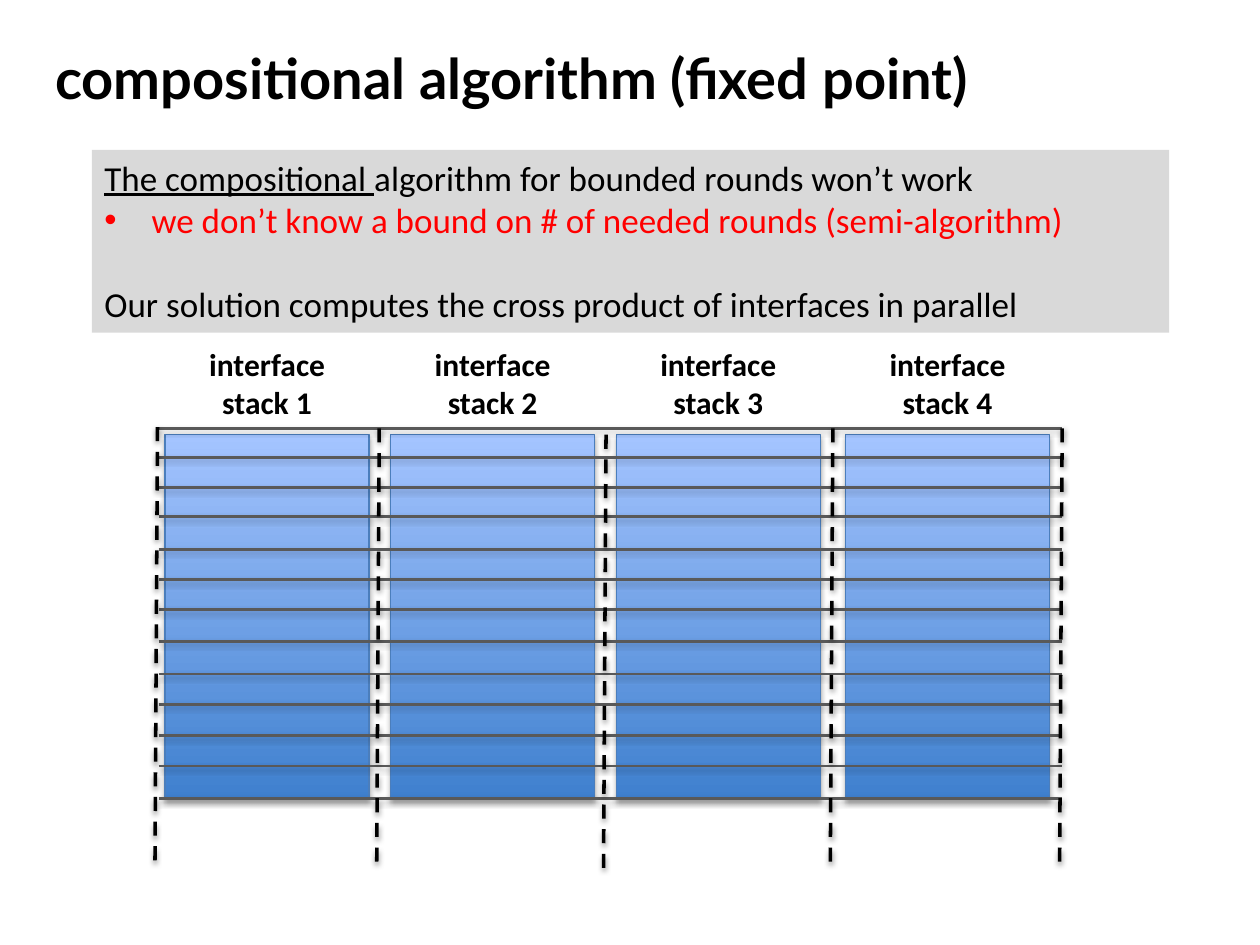
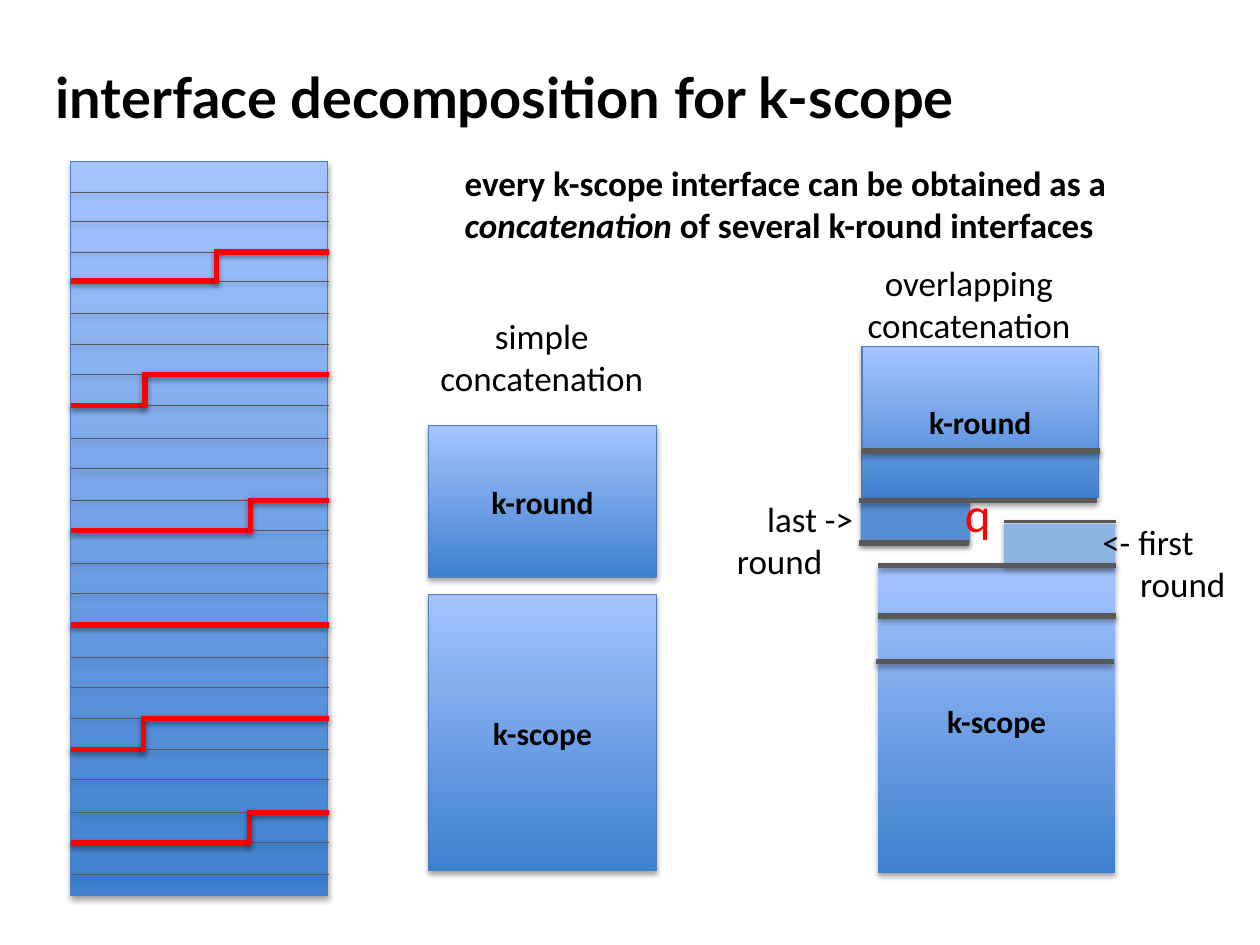
import pptx
import pptx.util
import pptx.dml.color
import pptx.enum.dml
import pptx.enum.shapes
import pptx.enum.text
import lxml.etree
import dataclasses


@dataclasses.dataclass(frozen=True)
class Theme:
    black: str = "000000"
    red: str = "FF0000"
    gray: str = "595959"
    pale: str = "D9D9D9"
    edge: str = "4B7EBC"
    deep: str = "3F80CE"
    light: str = "A4C4FF"
    last: str = "558ED5"
    first: str = "8EB4E3"
    font: str = "Calibri"
    head: str = "Lato"
    title: int = 32
    big: int = 28
    body: int = 20
    label: int = 18


look = Theme()
Align = pptx.enum.text.PP_ALIGN
Anchor = pptx.enum.text.MSO_ANCHOR

# Grid
COLS = 100
deck = pptx.Presentation()
deck.slide_width = pptx.util.Inches(10)
deck.slide_height = pptx.util.Inches(7.5)
UNIT = deck.slide_width / COLS

TITLES = ["compositional algorithm (fixed point)",
          "interface decomposition for k-scope"]
TITLE_ENDS = [9.3, 10.8]

POINTS = [
    [("The compositional ", {"under": True}),
     ("algorithm for bounded rounds won’t work", {})],
    [("we don’t know a bound on # of needed rounds (semi-algorithm)",
      {"color": look.red, "bullet": "•", "indent": 3.75})],
    [("Our solution computes the cross product of interfaces in parallel",
      {"before": 24.4})],
]
CLAIM = [
    "every k-scope interface can be obtained as a",
    [("concatenation", {"italic": True}),
     (" of several k-round interfaces", {})],
]
STACKS = [13.1, 31, 48.9, 67.1]
DASHES = [(12.5, 33.9, 68.5), (30.1, 34, 68.7), (48.1, 34.5, 69.1),
          (66.1, 34, 68.7), (84.3, 34, 68.7)]

ROUNDS = [15.3, 17.6, 20, 22.3, 24.9, 27.3, 29.7, 32.2, 34.8, 37.2, 39.7, 42.1,
          44.7, 47.1, 49.6, 52.2, 54.6, 57, 59.5, 61.9, 64.5, 66.9, 69.4]
STEPS = [(3, 17.2), (7, 11.5), (11, 19.9), (18, 11.4), (21, 19.8)]
CUT = 14

BLOCKS = [("k-scope", (34, 47.2, 18.1, 21.9)),
          ("k-round", (34, 33.8, 18.1, 12))]
NOTES = [
    ((33.8, 24.5, 18.4, 7.7), ["simple", "concatenation"], Align.CENTER),
    ((86.5, 40.8, 13, 7.7),
     ["<- first", [("round", {"indent": 3, "hang": False})]], Align.LEFT),
    ((57.5, 39, 12, 7.7),
     [[("last ->", {"indent": 2.4, "hang": False})], "round"], Align.LEFT),
    ((67.7, 20.3, 18.4, 7.7), ["overlapping", "concatenation"], Align.CENTER),
]


def size(cells):
    return round(cells * UNIT)


def tint(code):
    return pptx.dml.color.RGBColor.from_string(code)


def child(node, tag, **attrs):
    name = pptx.oxml.ns.qn("a:" + tag)
    return lxml.etree.SubElement(node, name, attrs)


def shade(shape, alpha, dist):
    props = shape._element.spPr
    for old in props.findall(pptx.oxml.ns.qn("a:effectLst")):
        props.remove(old)
    glow = child(child(props, "effectLst"), "outerShdw", blurRad="40000",
                 dist=str(dist), dir="5400000", rotWithShape="0")
    child(child(glow, "srgbClr", val=look.black), "alpha", val=str(alpha))


def write(shape, paras, *, align=Align.LEFT, anchor=Anchor.TOP, **base):
    frame = shape.text_frame
    frame.word_wrap = True
    frame.vertical_anchor = anchor
    for index, runs in enumerate(paras):
        para = frame.paragraphs[0] if index == 0 else frame.add_paragraph()
        para.alignment = align
        runs = [(runs, {})] if isinstance(runs, str) else runs
        first = runs[0][1]
        if "before" in first:
            para.space_before = pptx.util.Pt(first["before"])
        if "indent" in first:
            props = para._p.get_or_add_pPr()
            step = size(first["indent"])
            props.set("marL", str(step))
            props.set("indent", str(-step if first.get("hang", True) else 0))
            if "bullet" in first:
                child(props, "buFont", typeface="Arial")
                child(props, "buChar", char=first["bullet"])
        for text, own in runs:
            form = {**base, **own}
            run = para.add_run()
            run.text = text
            font = run.font
            font.name = form.get("font", look.font)
            font.size = pptx.util.Pt(form.get("points", look.body))
            font.bold = form.get("bold", False)
            font.italic = form.get("italic", False)
            font.underline = form.get("under", False)
            font.color.rgb = tint(form.get("color", look.black))


def note(slide, at, paras, **form):
    box = slide.shapes.add_textbox(*map(size, at))
    write(box, paras, **form)


def block(slide, at, fill=None, edge=None, drop=True):
    box = slide.shapes.add_shape(
        pptx.enum.shapes.MSO_SHAPE.RECTANGLE, *map(size, at))
    if fill:
        box.fill.solid()
        box.fill.fore_color.rgb = tint(fill)
    else:
        box.fill.gradient()
        box.fill.gradient_angle = 90
        for stop, code, place in zip(box.fill.gradient_stops,
                                     (look.deep, look.light), (0, 1)):
            stop.color.rgb = tint(code)
            stop.position = place
    if edge:
        box.line.color.rgb = tint(edge)
        box.line.width = pptx.util.Pt(0.75)
    else:
        box.line.fill.background()
    box.shadow.inherit = False
    if drop:
        shade(box, 35000, 23000)
    return box


def named(slide, text, at, edge=look.edge):
    write(block(slide, at, edge=edge), [text], align=Align.CENTER,
          anchor=Anchor.MIDDLE, points=look.label, bold=True)


def rule(slide, ends, color=look.gray, width=3, dash=False):
    line = slide.shapes.add_connector(
        pptx.enum.shapes.MSO_CONNECTOR.STRAIGHT, *map(size, ends))
    line.line.color.rgb = tint(color)
    line.line.width = pptx.util.Pt(width)
    if dash:
        line.line.dash_style = pptx.enum.dml.MSO_LINE.DASH
    shade(line, 38000, 20000)


def start(index):
    slide = deck.slides.add_slide(deck.slide_layouts[6])
    note(slide, (3.4, TITLE_ENDS[index] - 8, 96.6, 8), [TITLES[index]],
         anchor=Anchor.BOTTOM, font=look.head, points=look.title, bold=True)
    return slide


def stacks():
    slide = start(0)
    for left in STACKS:
        block(slide, (left, 34.5, 16.2, 28.9), edge=look.edge)
    for row in ROUNDS[:13]:
        rule(slide, (12.6, row + 18.7, 84.3, row + 18.7), width=1.5)
    for left, top, end in DASHES:
        rule(slide, (left, top, left - 0.2, end), look.black, 2, dash=True)
    for index, left in enumerate(STACKS, 1):
        note(slide, (left, 26.9, 16.2, 7.1), ["interface", f"stack {index}"],
             align=Align.CENTER, points=look.label, bold=True)
    write(block(slide, (7.3, 11.9, 85.5, 14.5), look.pale, drop=False), POINTS)


def ladder(slide):
    left, right = 5.6, 26.1
    block(slide, (left, 12.8, 20.4, 58.3), edge=look.edge)
    for row in ROUNDS:
        rule(slide, (left, row, right, row), width=0.5)
    for index, turn in STEPS:
        low, high = ROUNDS[index], ROUNDS[index - 1]
        rule(slide, (left, low, turn, low), look.red)
        rule(slide, (turn, high - 0.2, turn, low + 0.2), look.red)
        rule(slide, (turn, high, right, high), look.red)
    rule(slide, (left, ROUNDS[CUT], right, ROUNDS[CUT]), look.red)


def overlap(slide):
    wide = 18.9
    named(slide, "k-scope", (69.7, 45.1, 18.8, 24.2), edge=None)
    rule(slide, (79.7, 41.4, 88.6, 41.4), width=2)
    block(slide, (79.7, 41.6, 8.8, 3.3), look.first)
    for left, row in [(69.7, 44.9), (69.7, 48.9), (69.5, 52.5)]:
        rule(slide, (left, row, left + wide, row))
    named(slide, "k-round", (68.4, 27.5, 18.8, 12))
    block(slide, (68.3, 39.7, 8.7, 3.4), look.last)
    rule(slide, (68.2, 43.1, 76.9, 43.1))
    for left, row in [(68.2, 39.7), (68.4, 35.8)]:
        rule(slide, (left, row, left + wide, row))


def scope():
    slide = start(1)
    note(slide, (35.9, 12.3, 56, 7.7), CLAIM, bold=True)
    ladder(slide)
    for text, at in BLOCKS:
        named(slide, text, at)
    overlap(slide)
    for at, paras, align in NOTES:
        note(slide, at, paras, align=align)
    note(slide, (75.6, 37.9, 4.1, 5.7), ["q"], points=look.big, color=look.red)


stacks()
scope()
deck.save("out.pptx")
